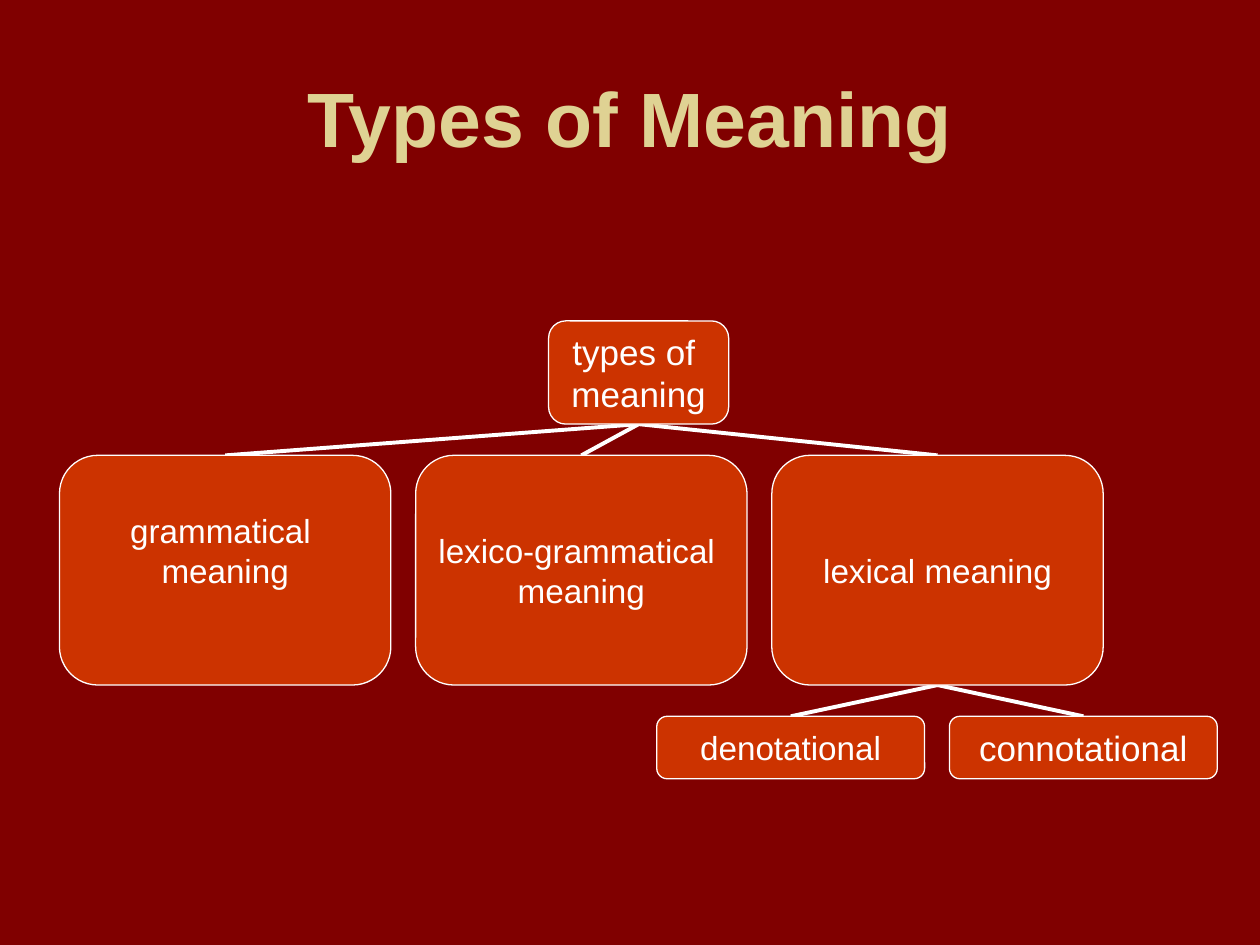
from lxml import etree
from pptx import Presentation
from pptx.dml.color import RGBColor
from pptx.enum import shapes, text
from pptx.oxml import ns
from pptx.util import Cm, Pt

COLORS = {"background": "800000", "box": "CC3300", "white": "FFFFFF", "title": "DFD293"}
FONT = "Arial"
TITLE = "Types of Meaning"

# Levels of the tree: each node is (lines, font size, index of its parent, lift of the text in cm)
LEVELS = [
    {"left": 11.06, "width": 3.63, "height": 2.08, "insets": (0.16, 0.08),
     "nodes": [(["types of ", "meaning"], 20, None, 0)]},
    {"left": 1.2, "width": 6.68, "height": 4.63, "insets": (0.16, 0.08),
     "nodes": [(["grammatical ", "meaning"], 19, 0, 0.4),
               (["lexico-grammatical ", "meaning"], 19, 0, 0),
               (["lexical meaning"], 19, 0, 0)]},
    {"left": 13.24, "width": 5.4, "height": 1.26, "insets": (0.23, 0.12),
     "nodes": [(["denotational"], 19, 2, 0),
               (["connotational"], 20, 2, 0)]},
]
TREE_TOP, COLUMN_GAP, ROW_GAP = 6.47, 0.5, 0.63
BOTTOM_SIDE, TOP_SIDE = 2, 0


def color(name):
    return RGBColor.from_string(COLORS[name])


def write(shape, lines, size, fill="white", bold=False, wrap=False, insets=(0.25, 0.13), lift=0):
    frame = shape.text_frame
    frame.word_wrap = wrap
    frame.vertical_anchor = text.MSO_ANCHOR.MIDDLE
    frame.margin_left = frame.margin_right = Cm(insets[0])
    frame.margin_top = Cm(insets[1])
    frame.margin_bottom = Cm(insets[1] + 2 * lift)
    for index, line in enumerate(lines):
        paragraph = frame.add_paragraph() if index else frame.paragraphs[0]
        paragraph.alignment = text.PP_ALIGN.CENTER
        run = paragraph.add_run()
        run.text = line
        run.font.name, run.font.size, run.font.bold = FONT, Pt(size), bold
        run.font.color.rgb = color(fill)


def add_box(slide, left, top, width, height):
    box = slide.shapes.add_shape(shapes.MSO_SHAPE.ROUNDED_RECTANGLE,
                                 Cm(left), Cm(top), Cm(width), Cm(height))
    box.shadow.inherit = False
    box.fill.solid()
    box.fill.fore_color.rgb = color("box")
    box.line.color.rgb = color("white")
    box.line.width = Pt(0.75)
    return box


def join(slide, parent, child):
    connector = slide.shapes.add_connector(shapes.MSO_CONNECTOR.STRAIGHT, 0, 0, 0, 0)
    connector.begin_connect(parent, BOTTOM_SIDE)
    connector.end_connect(child, TOP_SIDE)
    connector.line.color.rgb = color("white")
    connector.line.width = Pt(2.25)
    etree.SubElement(connector._element.spPr, ns.qn("a:effectLst"))
    return connector


def main():
    presentation = Presentation()
    presentation.slide_width, presentation.slide_height = Cm(25.4), Cm(19.05)
    slide = presentation.slides.add_slide(presentation.slide_layouts[6])
    slide.background.fill.solid()
    slide.background.fill.fore_color.rgb = color("background")

    # Title
    title = slide.shapes.add_textbox(Cm(1.27), Cm(0.76), Cm(22.86), Cm(3.18))
    write(title, [TITLE], 44, fill="title", bold=True, wrap=True)

    # Tree, level by level, with the lines behind the boxes
    parents, root, top = [], None, TREE_TOP
    for level in LEVELS:
        boxes = []
        for column, (lines, size, parent, lift) in enumerate(level["nodes"]):
            left = level["left"] + column * (level["width"] + COLUMN_GAP)
            box = add_box(slide, left, top, level["width"], level["height"])
            write(box, lines, size, insets=level["insets"], lift=lift)
            boxes.append(box)
            if parent is None:
                root = box
            else:
                connector = join(slide, parents[parent], box)
                root._element.addprevious(connector._element)
        parents = boxes
        top += level["height"] + ROW_GAP

    presentation.save("out.pptx")


if __name__ == "__main__":
    main()
